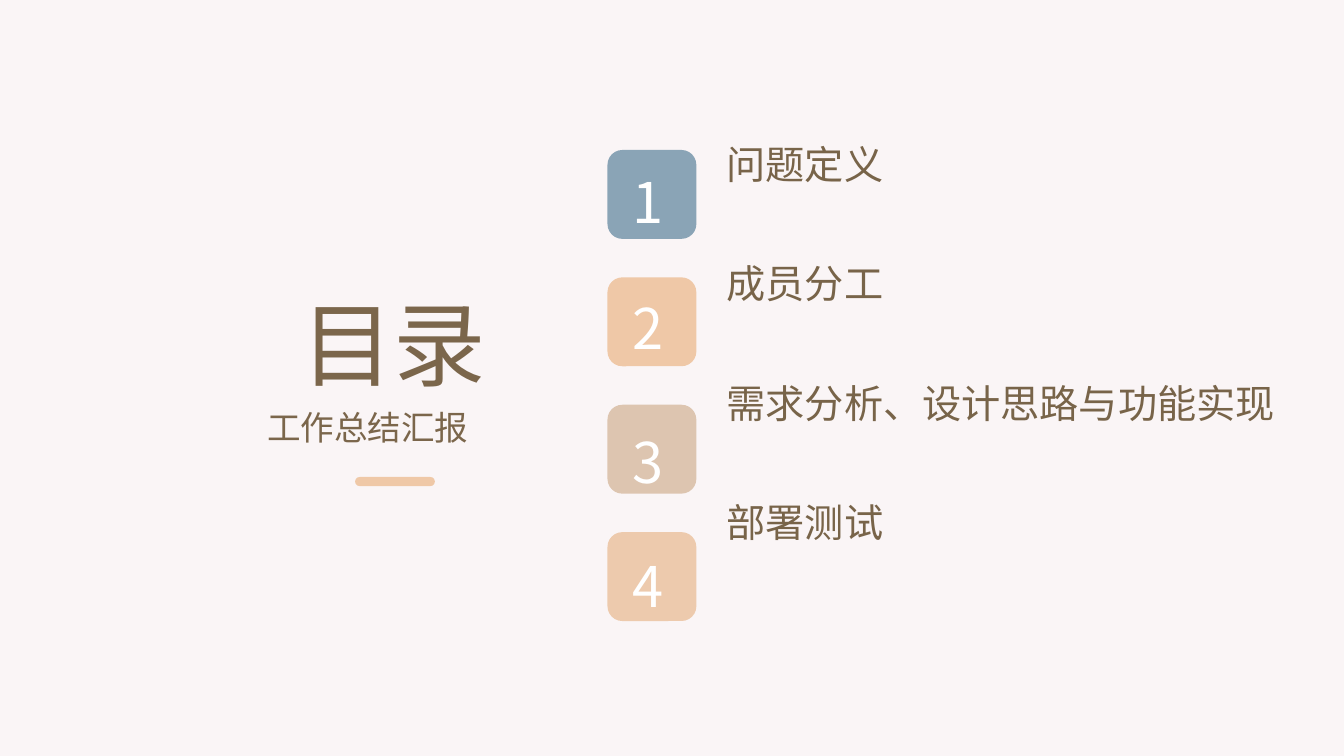
from lxml.etree import SubElement
from pptx import Presentation
from pptx.dml.color import RGBColor
from pptx.enum.shapes import MSO_SHAPE
from pptx.enum.text import MSO_ANCHOR, MSO_AUTO_SIZE, PP_ALIGN
from pptx.oxml.ns import qn
from pptx.util import Cm, Pt

THEME = {
    "font": "Noto Sans CJK SC",
    "back": "FAF5F6",
    "brown": "7B664B",
    "item": "786449",
    "white": "FFFFFF",
    "peach": "EFC8A7",
    "tiles": ["8AA4B6", "EFC8A7", "DDC5B0", "EDCAAD"],
    "title": 66,
    "digit": 40,
    "list": 28,
    "sub": 24,
}


def write(shape, lines, size, color, align=PP_ALIGN.LEFT,
          anchor=MSO_ANCHOR.MIDDLE, wrap=False, gap=0):
    """Fill a shape with one plain paragraph per line, gap points apart."""
    frame = shape.text_frame
    frame.text = "\n".join(lines)
    look = {"auto_size": MSO_AUTO_SIZE.NONE, "word_wrap": wrap,
            "vertical_anchor": anchor}
    for key, value in look.items():
        setattr(frame, key, value)
    flow = {"alignment": align, "line_spacing": 1.0,
            "space_before": Pt(0), "space_after": Pt(gap)}
    face = {"name": THEME["font"], "size": Pt(THEME[size]), "bold": False}
    for par in frame.paragraphs:
        for key, value in flow.items():
            setattr(par, key, value)
        props = par._p.get_or_add_pPr()
        props.set("marL", "0")
        props.set("indent", "0")
        SubElement(props, qn("a:buNone"))
        run = par.runs[0]
        for key, value in face.items():
            setattr(run.font, key, value)
        run.font.color.rgb = RGBColor.from_string(THEME[color])
        east = SubElement(run._r.get_or_add_rPr(), qn("a:ea"))
        east.set("typeface", THEME["font"])


def block(left, top, width, height, color):
    """Add a plain rounded block, measured in centimetres."""
    shape = slide.shapes.add_shape(
        MSO_SHAPE.ROUNDED_RECTANGLE, Cm(left), Cm(top), Cm(width), Cm(height))
    shape.shadow.inherit = False
    shape.fill.solid()
    shape.fill.fore_color.rgb = RGBColor.from_string(color)
    shape.line.fill.background()
    return shape


deck = Presentation()
deck.slide_width, deck.slide_height = Cm(33.87), Cm(19.05)
slide = deck.slides.add_slide(deck.slide_layouts[1])
slide.background.fill.solid()
slide.background.fill.fore_color.rgb = RGBColor.from_string(THEME["back"])

# Heading and agenda
title, agenda = slide.placeholders
places = [(title, (7.34, 7.09, 5.21, 3.07)),
          (agenda, (18.06, 3.41, 14.58, 11.4))]
for holder, place in places:
    for side, value in zip(("left", "top", "width", "height"), place):
        setattr(holder, side, Cm(value))
write(title, ["目录"], "title", "brown")
topics = ["问题定义", "成员分工", "需求分析、设计思路与功能实现", "部署测试"]
write(agenda, topics, "list", "item", anchor=MSO_ANCHOR.TOP, wrap=True, gap=51.6)

# Numbered tiles
tops = [4.01, 7.19, 10.57, 13.69]
for row, (color, top) in enumerate(zip(THEME["tiles"], tops)):
    block(15.31, 3.78 + 3.21 * row, 2.24, 2.24, color)
    digit = slide.shapes.add_textbox(Cm(15.7), Cm(top), Cm(1.5), Cm(2.11))
    write(digit, [str(row + 1)], "digit", "white", wrap=True)

# Subtitle and accent bar
sub = slide.shapes.add_textbox(Cm(6.48), Cm(10.13), Cm(6.93), Cm(1.27))
write(sub, ["工作总结汇报"], "sub", "brown", align=PP_ALIGN.JUSTIFY, wrap=True)
bar = block(8.95, 12.02, 2.01, 0.23, THEME["peach"])
bar.adjustments[0] = 0.5

deck.save("out.pptx")
